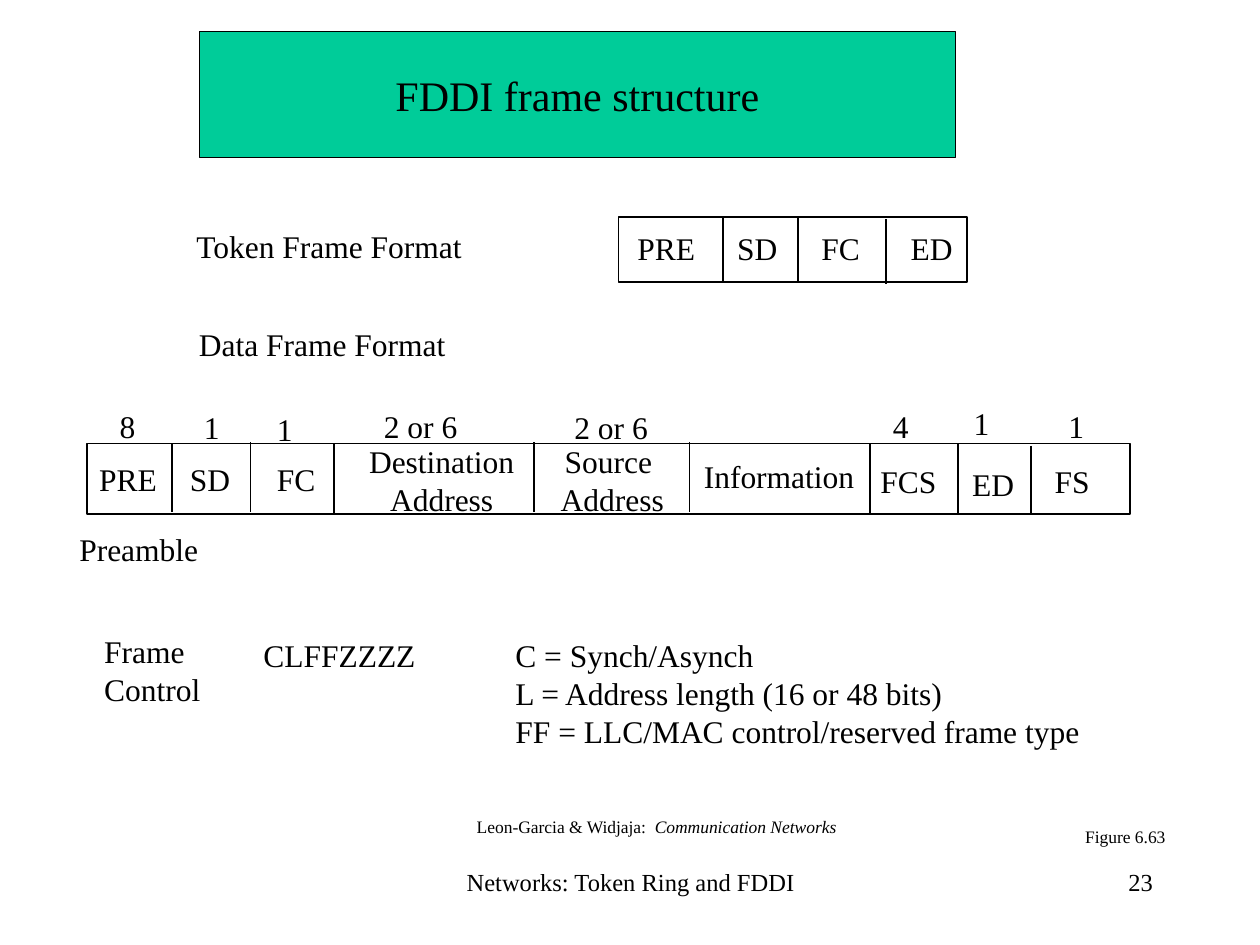
from lxml import etree
from pptx import Presentation
from pptx.dml.color import RGBColor
from pptx.enum import shapes, text
from pptx.oxml.ns import qn
from pptx.util import Cm, Pt

LEFT, MID, RIGHT = text.PP_ALIGN.LEFT, text.PP_ALIGN.CENTER, text.PP_ALIGN.RIGHT
FACE = "Times New Roman"


def paint(part, hue):
    """Give a fill or font a solid colour from a hex string."""
    if hasattr(part, "solid"):
        part.solid()
        part.fore_color.rgb = RGBColor.from_string(hue)
    else:
        part.color.rgb = RGBColor.from_string(hue)


def put(words, x, y, w, h=1.02, size=18, align=LEFT, wrap=False):
    """Add a text box, one paragraph per line of words."""
    box = slide.shapes.add_textbox(Cm(x), Cm(y), Cm(w), Cm(h))
    frame = box.text_frame
    frame.text = words
    frame.word_wrap = wrap
    if not wrap:
        frame.auto_size = text.MSO_AUTO_SIZE.SHAPE_TO_FIT_TEXT
    for para in frame.paragraphs:
        para.alignment = align
        para.font.name, para.font.size = FACE, Pt(size)
        paint(para.font, "000000")
    return frame


deck = Presentation()
deck.slide_width, deck.slide_height = Cm(25.4), Cm(19.05)
slide = deck.slides.add_slide(deck.slide_layouts[5])

# Title
title = slide.shapes.title
title.left, title.top, title.width, title.height = Cm(4.02), Cm(0.64), Cm(15.24), Cm(2.54)
paint(title.fill, "00CC99")
paint(title.line.fill, "000000")
title.line.width = Pt(0.75)
frame = title.text_frame
frame.text = "FDDI frame structure"
frame.auto_size = text.MSO_AUTO_SIZE.NONE
frame.vertical_anchor = text.MSO_ANCHOR.MIDDLE
para = frame.paragraphs[0]
para.alignment = MID
para.font.name, para.font.size = FACE, Pt(24)
paint(para.font, "000000")

# Frames: outline (left, top, width, height), then dividers (x, top, bottom)
frames = [
    ((12.47, 4.37, 7.02, 1.31),
     [(14.58, 4.37, 5.69), (16.09, 4.37, 5.69), (17.86, 4.42, 5.72)]),
    ((1.75, 8.94, 21.03, 1.42),
     [(3.46, 8.94, 10.32), (5.05, 8.92, 10.32), (6.74, 8.94, 10.36),
      (10.77, 8.92, 10.32), (13.9, 8.92, 10.32), (17.54, 8.94, 10.36),
      (19.31, 8.94, 10.36), (20.78, 8.99, 10.39)]),
]
for area, bars in frames:
    rect = slide.shapes.add_shape(shapes.MSO_SHAPE.RECTANGLE, *map(Cm, area))
    rect.shadow.inherit = False
    rect.fill.background()
    paint(rect.line.fill, "000000")
    rect.line.width = Pt(1)
    for x, top, end in bars:
        bar = slide.shapes.add_connector(
            shapes.MSO_CONNECTOR.STRAIGHT, Cm(x), Cm(top), Cm(x), Cm(end))
        paint(bar.line.fill, "000000")
        bar.line.width = Pt(1)
        etree.SubElement(bar._element.spPr, qn("a:effectLst"))

# Field names and headings
wide = {"PRE": 1.68, "SD": 1.33, "FC": 1.3, "ED": 1.36, "FCS": 1.65, "FS": 1.24,
        "Information": 3.58, "Preamble": 2.9, "Token Frame Format": 5.89,
        "Data Frame Format": 5.49, "1": 0.81, "4": 0.81, "8": 0.81, "2 or 6": 2.02}
labels = [
    ("Token Frame Format", 3.71, 4.45),
    ("PRE", 12.6, 4.5), ("SD", 14.61, 4.5), ("FC", 16.31, 4.5), ("ED", 18.11, 4.5),
    ("Data Frame Format", 3.76, 6.43),
    ("8", 2.16, 8.08), ("1", 3.86, 8.1), ("1", 5.33, 8.15), ("2 or 6", 7.49, 8.08),
    ("2 or 6", 11.33, 8.1), ("4", 17.75, 8.08), ("1", 19.38, 8.03), ("1", 21.29, 8.08),
    ("PRE", 1.75, 9.14), ("SD", 3.58, 9.14), ("FC", 5.33, 9.14),
    ("Information", 13.94, 9.09), ("FCS", 17.5, 9.19), ("ED", 19.35, 9.25),
    ("FS", 21.01, 9.19), ("Preamble", 1.35, 10.57),
]
for name, x, y in labels:
    put(name, x, y, wide[name])
put("Destination\nAddress", 7.19, 8.79, 3.43, 1.78, align=MID)
put("Source \nAddress", 11.05, 8.79, 2.59, 1.78, align=MID)

# Frame control bits
put("Frame\nControl", 1.85, 12.62, 2.44, 1.78)
bits = put("CLFFZZZZ\tC = Synch/Asynch\n"
           "\tL = Address length (16 or 48 bits)\n"
           "\tFF = LLC/MAC control/reserved frame type",
           5.06, 12.7, 17.96, 2.54, wrap=True)
for para in bits.paragraphs:
    tabs = etree.Element(qn("a:tabLst"))
    etree.SubElement(tabs, qn("a:tab"), pos=str(Cm(5.08)), algn="l")
    para._p.get_or_add_pPr().insert(0, tabs)

# Credits and footer
cite = put("Leon-Garcia & Widjaja:  ", 9.35, 16.31, 7.77, 0.69, 10, MID)
book = cite.paragraphs[0].add_run()
book.text = "Communication Networks"
book.font.italic = True
note = put("Figure 6.63", 21.62, 16.51, 2.13, 0.69, 10, MID)
for frame in (cite, note):
    frame.vertical_anchor = text.MSO_ANCHOR.MIDDLE
put("Networks: Token Ring and FDDI", 8.69, 17.35, 8.05, 1.27, 14, MID, True)
put("23", 18.21, 17.35, 5.28, 1.27, 14, RIGHT, True)

deck.save("out.pptx")
